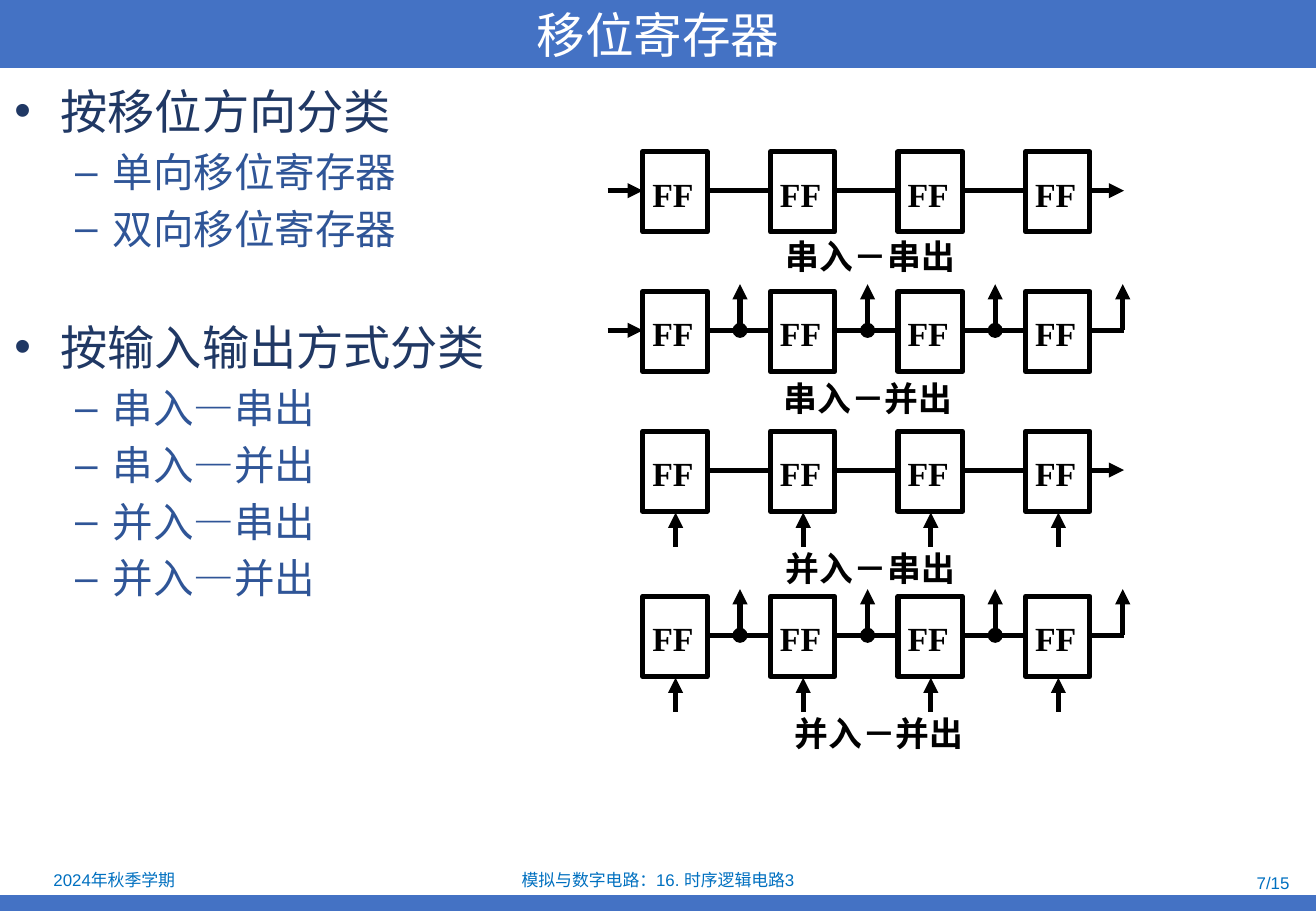
import dataclasses

import pptx
import pptx.dml.color
import pptx.enum.shapes
import pptx.enum.text
import pptx.oxml.ns
import pptx.util
from lxml import etree

Inches = pptx.util.Inches
Pt = pptx.util.Pt
ALIGN = pptx.enum.text.PP_ALIGN
ANCHOR = pptx.enum.text.MSO_ANCHOR
RECTANGLE = pptx.enum.shapes.MSO_SHAPE.RECTANGLE
qn = pptx.oxml.ns.qn


@dataclasses.dataclass(frozen=True)
class Theme:
    band: str = "4472C4"
    title: str = "FFFFFF"
    topic: str = "203864"
    item: str = "2F5597"
    footer: str = "0070C0"
    ink: str = "000000"
    title_font: str = "Noto Sans CJK SC"
    body_font: str = "Arial"
    diagram_font: str = "Times New Roman"
    title_size: float = 28.8
    topic_size: int = 28
    item_size: int = 24
    diagram_size: int = 20
    footer_size: int = 10
    stroke: int = 3


class SlideBuilder:
    def __init__(self, deck, theme):
        self.theme = theme
        self.slide = deck.slides.add_slide(deck.slide_layouts[5])
        self.shapes = self.slide.shapes

    def color(self, value):
        return pptx.dml.color.RGBColor.from_string(value)

    def style(self, paragraph, font, size, color, bold=False):
        paragraph.font.name = font
        paragraph.font.size = Pt(size)
        paragraph.font.bold = bold
        paragraph.font.color.rgb = self.color(color)

    def title(self, text, left, top, width, height):
        heading = self.shapes.title
        heading.left, heading.top = Inches(left), Inches(top)
        heading.width, heading.height = Inches(width), Inches(height)
        heading.fill.solid()
        heading.fill.fore_color.rgb = self.color(self.theme.band)
        frame = heading.text_frame
        frame.text = text
        frame.auto_size = pptx.enum.text.MSO_AUTO_SIZE.NONE
        frame.vertical_anchor = ANCHOR.MIDDLE
        frame.margin_top = frame.margin_bottom = 0
        frame.paragraphs[0].alignment = ALIGN.CENTER
        self.style(frame.paragraphs[0], self.theme.title_font,
                   self.theme.title_size, self.theme.title)

    def box(self, left, top, width, height, fill=None):
        box = self.shapes.add_shape(RECTANGLE, Inches(left), Inches(top),
                                    Inches(width), Inches(height))
        box.shadow.inherit = False
        if fill:
            box.fill.solid()
            box.fill.fore_color.rgb = self.color(fill)
            box.line.fill.background()
        else:
            box.fill.background()
            box.line.color.rgb = self.color(self.theme.ink)
            box.line.width = Pt(self.theme.stroke)

    def frame(self, left, top, width, height):
        frame = self.shapes.add_textbox(Inches(left), Inches(top),
                                        Inches(width), Inches(height)).text_frame
        frame.word_wrap = True
        return frame

    def footer(self, text, left, top, width, height, alignment):
        frame = self.frame(left, top, width, height)
        frame.vertical_anchor = ANCHOR.MIDDLE
        frame.margin_top = frame.margin_bottom = 0
        paragraph = frame.paragraphs[0]
        paragraph.text = text
        paragraph.alignment = alignment
        self.style(paragraph, self.theme.body_font, self.theme.footer_size,
                   self.theme.footer)

    def diagram_text(self, text, left, top, width):
        paragraph = self.frame(left, top, width, 0.43).paragraphs[0]
        paragraph.text = text
        self.style(paragraph, self.theme.diagram_font, self.theme.diagram_size,
                   self.theme.ink, bold=True)

    def outline(self, topics, left, top, width, height):
        frame = self.frame(left, top, width, height)
        paragraph = frame.paragraphs[0]
        for index, (topic, items) in enumerate(topics):
            if index:
                paragraph = frame.add_paragraph()
                paragraph.space_before = Pt(40)
            self.bullet(paragraph, topic, 0)
            for item in items:
                paragraph = frame.add_paragraph()
                paragraph.space_before = Pt(5.6)
                self.bullet(paragraph, item, 1)

    def bullet(self, paragraph, text, level):
        theme = self.theme
        mark, margin, hanging, size, line_height, color = (
            ("•", 0.38, 0.38, theme.topic_size, 32.7, theme.topic),
            ("–", 0.81, 0.31, theme.item_size, 28, theme.item))[level]
        paragraph.text = text
        paragraph.level = level
        paragraph.line_spacing = Pt(line_height)
        properties = paragraph._p.get_or_add_pPr()
        properties.set("marL", str(Inches(margin)))
        properties.set("indent", str(-Inches(hanging)))
        etree.SubElement(properties, qn("a:buFont"), typeface=theme.body_font)
        etree.SubElement(properties, qn("a:buChar"), char=mark)
        self.style(paragraph, theme.body_font, size, color)

    def wire(self, x1, y1, x2, y2, arrow=False, dot=False):
        wire = self.shapes.add_connector(
            pptx.enum.shapes.MSO_CONNECTOR.STRAIGHT,
            Inches(x1), Inches(y1), Inches(x2), Inches(y2))
        wire.line.color.rgb = self.color(self.theme.ink)
        wire.line.width = Pt(self.theme.stroke)
        line = wire.line._get_or_add_ln()
        if dot:
            etree.SubElement(line, qn("a:headEnd"), type="oval")
        if arrow:
            etree.SubElement(line, qn("a:tailEnd"), type="triangle")
        etree.SubElement(wire._element.spPr, qn("a:effectLst"))

    def register(self, top, label, label_left, label_top, parallel_in, parallel_out):
        """Draw four chained flip-flops with serial or parallel ports."""
        first, pitch, stages = 5.29, 1.05, 4
        wire_y = top + 0.32
        tap_y = wire_y - 0.38
        for stage in range(stages):
            left = first + stage * pitch
            self.box(left, top, 0.53, 0.66)
            self.diagram_text("FF", left - 0.02, top + 0.13, 0.58)
            if parallel_in:
                self.wire(left + 0.27, top + 0.95, left + 0.27, top + 0.67, arrow=True)
            if stage < stages - 1:
                self.wire(left + 0.54, wire_y, left + pitch, wire_y)
                if parallel_out:
                    self.wire(left + 0.8, wire_y, left + 0.8, tap_y, arrow=True, dot=True)
        # Ports at both ends of the chain
        if not parallel_in:
            self.wire(5, wire_y, first, wire_y, arrow=True)
        self.wire(8.98, wire_y, 9.25, wire_y, arrow=not parallel_out)
        if parallel_out:
            self.wire(9.24, wire_y, 9.24, tap_y, arrow=True)
        self.diagram_text(label, label_left, label_top, 1.8)


def main():
    deck = pptx.Presentation()
    deck.slide_width, deck.slide_height = Inches(10.83), Inches(7.5)
    theme = Theme()
    page = SlideBuilder(deck, theme)

    # Title and footer
    page.title("移位寄存器", 0, 0, 10.83, 0.56)
    page.box(0, 7.37, 10.83, 0.13, fill=theme.band)
    page.footer("2024年秋季学期", 0.02, 7.13, 1.84, 0.23, ALIGN.CENTER)
    page.footer("模拟与数字电路：16. 时序逻辑电路3", 3.7, 7.14, 3.43, 0.21, ALIGN.CENTER)
    page.footer("7/15", 8.18, 7.16, 2.53, 0.21, ALIGN.RIGHT)

    # Classification outline
    page.outline([
        ("按移位方向分类", ["单向移位寄存器", "双向移位寄存器"]),
        ("按输入输出方式分类", ["串入—串出", "串入—并出", "并入—串出", "并入—并出"]),
    ], 0.02, 0.64, 4.9, 6.4)

    # Register diagrams: top, label, label left, label top, parallel in, parallel out
    for register in (
        (1.25, "串入－串出", 6.37, 1.89, False, False),
        (2.4, "串入－并出", 6.35, 3.06, False, True),
        (3.55, "并入－串出", 6.37, 4.46, True, False),
        (4.91, "并入－并出", 6.44, 5.82, True, True),
    ):
        page.register(*register)

    deck.save("out.pptx")


if __name__ == "__main__":
    main()
